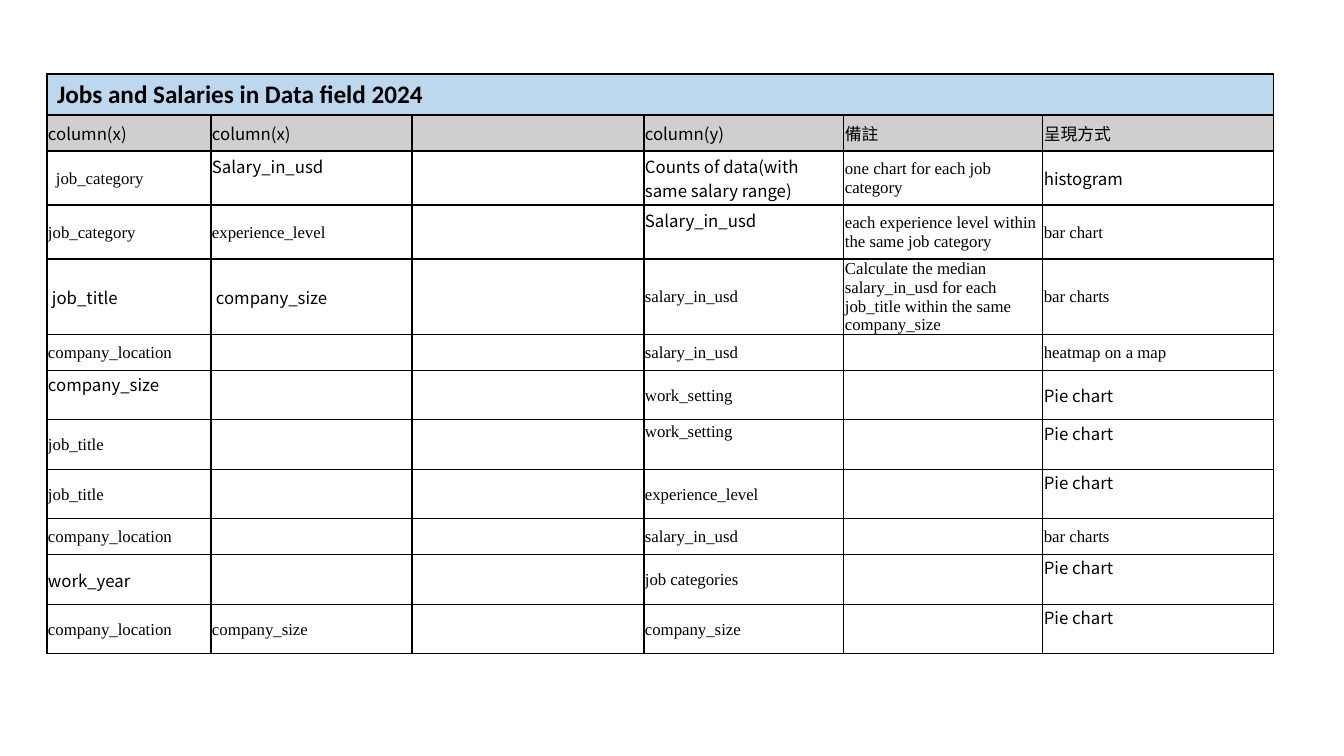
from dataclasses import dataclass

from lxml.etree import SubElement
from pptx import Presentation
from pptx.dml.color import RGBColor
from pptx.enum.text import MSO_ANCHOR, PP_ALIGN
from pptx.oxml.ns import qn
from pptx.util import Emu, Pt


@dataclass(frozen=True)
class Theme:
    """Colours, fonts and type sizes of the slide."""

    ink: str = "000000"
    title_fill: str = "BDD7EE"
    header_fill: str = "D0CECE"
    title_font: str = "Calibri"
    sans_font: str = "Noto Sans CJK TC"
    serif_font: str = "Times New Roman"
    title_size: int = 18
    body_size: int = 12
    border_width: int = 1


@dataclass(frozen=True)
class Entry:
    """Text of one cell with its font, indent in px and vertical place."""

    text: str = ""
    font: str = Theme.serif_font
    indent: int = 0
    raised: bool = False


def px(length):
    """Turn px into EMU at 100.8 px to the inch."""
    return Emu(round(length * 914400 / 100.8))


def sans(text, indent=0, raised=False):
    """Return an entry in the sans font."""
    return Entry(text, THEME.sans_font, indent, raised)


def serif(text, indent=0, raised=False):
    """Return an entry in the serif font."""
    return Entry(text, THEME.serif_font, indent, raised)


THEME = Theme()
LINE_HEIGHTS = {THEME.sans_font: 24, THEME.serif_font: 19}
TABLE_BOX = (47, 74, 1227, 579)
COLUMN_WIDTHS = (164, 201, 232, 200, 199, 231)
ROW_HEIGHTS = (41, 36, 54, 54, 75, 36, 49, 50, 49, 36, 50, 49)
EMPTY = Entry()
TITLE = "Jobs and Salaries in Data field 2024"
HEADER = [sans("column(x)"), sans("column(x)"), EMPTY,
          sans("column(y)"), sans("備註"), sans("呈現方式")]
BODY = [
    [serif("job_category", 8), sans("Salary_in_usd", raised=True), EMPTY,
     sans("Counts of data(with same salary range)"),
     serif("one chart for each job category"), sans("histogram")],
    [serif("job_category"), serif("experience_level"), EMPTY,
     sans("Salary_in_usd", raised=True),
     serif("each experience level within the same job category"),
     serif("bar chart")],
    [sans("job_title", 4), sans("company_size", 4), EMPTY,
     serif("salary_in_usd"),
     serif("Calculate the median salary_in_usd for each job_title "
           "within the same company_size"), serif("bar charts")],
    [serif("company_location"), EMPTY, EMPTY,
     serif("salary_in_usd"), EMPTY, serif("heatmap on a map")],
    [sans("company_size", raised=True), EMPTY, EMPTY,
     serif("work_setting"), EMPTY, sans("Pie chart")],
    [serif("job_title"), EMPTY, EMPTY,
     serif("work_setting", raised=True), EMPTY,
     sans("Pie chart", raised=True)],
    [serif("job_title"), EMPTY, EMPTY,
     serif("experience_level"), EMPTY, sans("Pie chart", raised=True)],
    [serif("company_location"), EMPTY, EMPTY,
     serif("salary_in_usd"), EMPTY, serif("bar charts")],
    [sans("work_year"), EMPTY, EMPTY,
     serif("job categories"), EMPTY, sans("Pie chart", raised=True)],
    [serif("company_location"), serif("company_size"), EMPTY,
     serif("company_size"), EMPTY, sans("Pie chart", raised=True)],
]


def style_cell(cell, fill=None):
    """Give a cell its fill and its four borders."""
    if fill:
        cell.fill.solid()
        cell.fill.fore_color.rgb = RGBColor.from_string(fill)
    else:
        cell.fill.background()
    properties = cell._tc.get_or_add_tcPr()
    for index, side in enumerate(("a:lnL", "a:lnR", "a:lnT", "a:lnB")):
        line = SubElement(properties, qn(side),
                          w=str(Pt(THEME.border_width)))
        solid = SubElement(line, qn("a:solidFill"))
        SubElement(solid, qn("a:srgbClr"), val=THEME.ink)
        properties.insert(index, line)


def write_text(cell, text, font, size, bold=False):
    """Write one left-aligned paragraph into a cell."""
    cell.text = text
    paragraph = cell.text_frame.paragraphs[0]
    paragraph.alignment = PP_ALIGN.LEFT
    paragraph.font.name = font
    paragraph.font.size = Pt(size)
    paragraph.font.bold = bold
    paragraph.font.color.rgb = RGBColor.from_string(THEME.ink)


def fill_entry(cell, entry, row_height):
    """Place an entry in its cell, leaving a line below raised ones."""
    line_height = LINE_HEIGHTS[entry.font]
    spare = row_height - line_height - LINE_HEIGHTS[THEME.sans_font]
    cell.margin_left = px(1 + entry.indent)
    cell.margin_right = px(1)
    cell.margin_top = px(max(1, spare // 2) if entry.raised else 1)
    cell.margin_bottom = px(0)
    cell.vertical_anchor = MSO_ANCHOR.TOP if entry.raised else MSO_ANCHOR.MIDDLE
    write_text(cell, entry.text, entry.font, THEME.body_size)


def add_title_row(table):
    """Merge the first row and write the title in it."""
    for cell in table.rows[0].cells:
        style_cell(cell, THEME.title_fill)
    title = table.cell(0, 0)
    title.merge(table.cell(0, len(COLUMN_WIDTHS) - 1))
    write_text(title, TITLE, THEME.title_font, THEME.title_size, bold=True)


def add_field_table(slide, box):
    """Add the table of chart fields in the given box."""
    left, top, width, height = map(px, box)
    frame = slide.shapes.add_table(
        len(ROW_HEIGHTS), len(COLUMN_WIDTHS), left, top, width, height)
    table = frame.table
    table.first_row = False
    table.horz_banding = False
    for column, column_width in zip(table.columns, COLUMN_WIDTHS):
        column.width = px(column_width)
    for row, row_height in zip(table.rows, ROW_HEIGHTS):
        row.height = px(row_height)
    add_title_row(table)
    for row_index, entries in enumerate([HEADER] + BODY, start=1):
        fill = THEME.header_fill if row_index == 1 else None
        for column_index, entry in enumerate(entries):
            cell = table.cell(row_index, column_index)
            style_cell(cell, fill)
            fill_entry(cell, entry, ROW_HEIGHTS[row_index])


def main():
    """Build the slide and save it."""
    presentation = Presentation()
    presentation.slide_width = px(1344)
    presentation.slide_height = px(756)
    slide = presentation.slides.add_slide(presentation.slide_layouts[6])
    add_field_table(slide, TABLE_BOX)
    presentation.save("out.pptx")


if __name__ == "__main__":
    main()
